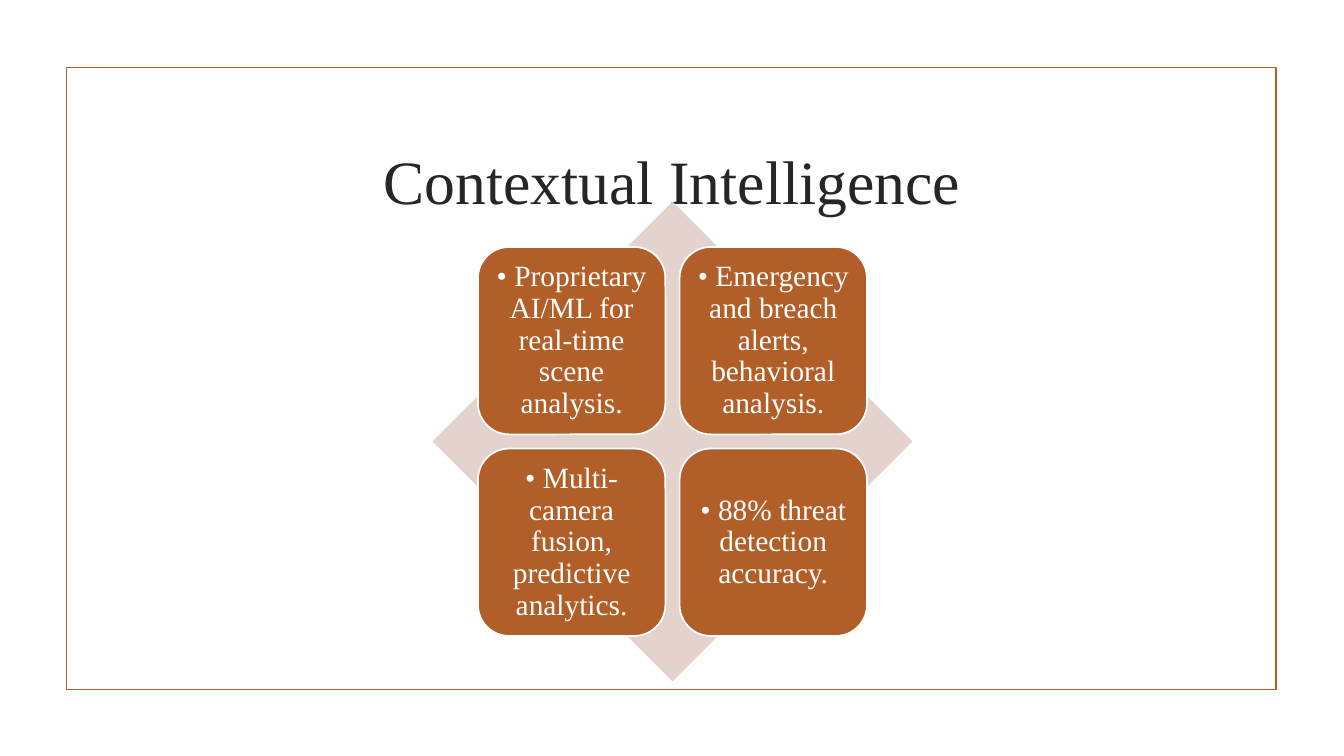
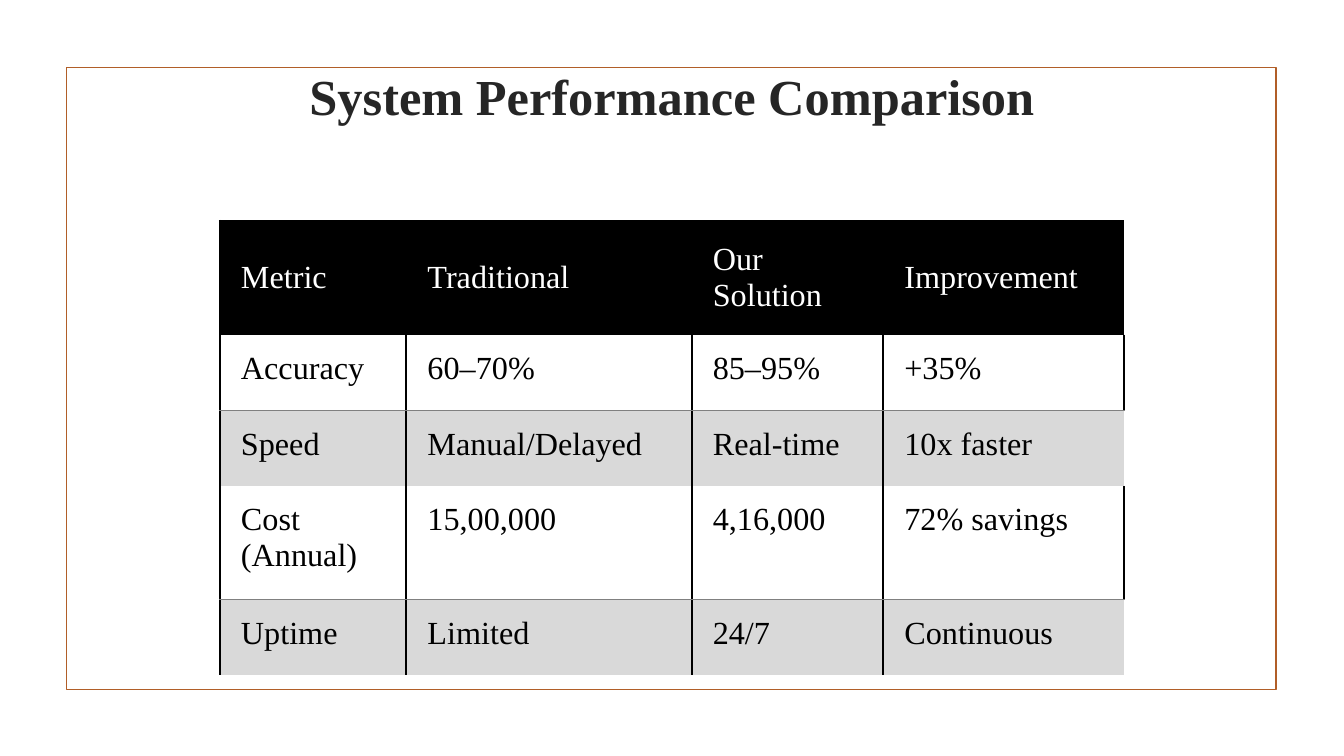
"""Builds two framed slides: a four-tile diamond and a comparison table."""
from lxml import etree
from pptx import Presentation
from pptx import util as u
from pptx.dml.color import RGBColor
from pptx.enum import shapes, text
from pptx.oxml import ns

PX = 9144
FONT = "Times New Roman"
HEX = {"rust": "B15E28", "blush": "E4D2CD", "ink": "262626", "white": "FFFFFF",
       "black": "000000", "band": "D9D9D9", "rule": "808080"}
TILES = ["• Proprietary AI/ML for real-time scene analysis.",
         "• Emergency and breach alerts, behavioral analysis.",
         "• Multi-camera fusion, predictive analytics.",
         "• 88% threat detection accuracy."]
ROWS = [["Metric", "Traditional", "Our Solution", "Improvement"],
        ["Accuracy", "60–70%", "85–95%", "+35%"],
        ["Speed", "Manual/Delayed", "Real-time", "10x faster"],
        ["Cost (Annual)", "15,00,000", "4,16,000", "72% savings"],
        ["Uptime", "Limited", "24/7", "Continuous"]]
WIDE = [185, 283, 190, 239]
HIGH = [113, 75, 75, 113, 75]


def px(*vals):
    return [u.Emu(v * PX) for v in vals]


def rgb(name):
    return RGBColor.from_string(HEX[name])


def write(frame, words, size, color, align, anchor, bold=False):
    frame.word_wrap = True
    frame.vertical_anchor = anchor
    frame.text = words
    para = frame.paragraphs[0]
    para.alignment = align
    font = para.runs[0].font
    font.name, font.size, font.bold = FONT, u.Pt(size), bold
    font.color.rgb = rgb(color)
    return para


def shape(slide, kind, box, fill=None, line=None):
    item = slide.shapes.add_shape(kind, *px(*box))
    item.shadow.inherit = False
    if fill:
        item.fill.solid()
        item.fill.fore_color.rgb = rgb(fill)
    else:
        item.fill.background()
    if line:
        item.line.color.rgb = rgb(line)
        item.line.width = u.Pt(1.25)
    else:
        item.line.fill.background()
    return item


def page(deck, words, box, size, anchor, bold=False):
    slide = deck.slides.add_slide(deck.slide_layouts[6])
    shape(slide, shapes.MSO_SHAPE.RECTANGLE, (66, 67, 1200, 617), line="rust")
    title = slide.shapes.add_textbox(*px(*box))
    write(title.text_frame, words, size, "ink", text.PP_ALIGN.CENTER, anchor, bold)
    return slide


def tile(slide, words, left, top, side):
    item = shape(slide, shapes.MSO_SHAPE.ROUNDED_RECTANGLE,
                 (left, top, side, side), "rust", "white")
    frame = item.text_frame
    frame.margin_left, frame.margin_right, frame.margin_top, frame.margin_bottom = px(9, 9, 9, 9)
    para = write(frame, words, 21, "white", text.PP_ALIGN.CENTER, text.MSO_ANCHOR.MIDDLE)
    para.line_spacing = 0.9


def border(cell, side, color=None, width=1.5):
    props = cell._tc.get_or_add_tcPr()
    line = etree.SubElement(props, ns.qn("a:ln" + side), w=str(u.Pt(width)))
    if color:
        fill = etree.SubElement(line, ns.qn("a:solidFill"))
        etree.SubElement(fill, ns.qn("a:srgbClr"), val=HEX[color])
    else:
        etree.SubElement(line, ns.qn("a:noFill"))


def edges(row, col):
    """Give the colour and width of each side of a cell."""
    head, band, last = row == 0, row > 0 and row % 2 == 0, col == len(WIDE) - 1
    black, rule, none = ("black", 1.5), ("rule", 0.5), (None, 1.5)
    return {"L": none if head and col else black,
            "R": none if head or (band and last) else black,
            "T": black if head else rule if band else none,
            "B": none if head or band else rule}


def grid(slide, left, top):
    box = px(left, top, sum(WIDE), sum(HIGH))
    table = slide.shapes.add_table(len(ROWS), len(WIDE), *box).table
    table.first_row = table.horz_banding = False
    for col, width in zip(table.columns, px(*WIDE)):
        col.width = width
    for r, (row, height) in enumerate(zip(table.rows, px(*HIGH))):
        row.height = height
        for c, cell in enumerate(row.cells):
            fill = "black" if r == 0 else None if r % 2 else "band"
            anchor = text.MSO_ANCHOR.TOP if r else text.MSO_ANCHOR.MIDDLE
            for side, style in edges(r, c).items():
                border(cell, side, *style)
            if fill:
                cell.fill.solid()
                cell.fill.fore_color.rgb = rgb(fill)
            else:
                cell.fill.background()
            cell.margin_left, cell.margin_right, cell.margin_top, cell.margin_bottom = px(21, 16, 16, 16)
            write(cell.text_frame, ROWS[r][c], 23, "black" if r else "white",
                  text.PP_ALIGN.LEFT, anchor)
            cell.vertical_anchor = anchor


def main():
    deck = Presentation()
    deck.slide_width, deck.slide_height = u.Inches(13.33), u.Inches(7.5)

    slide = page(deck, "Contextual Intelligence", (142, 107, 1050, 143), 44,
                 text.MSO_ANCHOR.MIDDLE)
    shape(slide, shapes.MSO_SHAPE.DIAMOND, (429, 200, 476, 476), "blush")
    side, step = 186, 200
    for i, words in enumerate(TILES):
        tile(slide, words, 474 + i % 2 * step, 245 + i // 2 * step, side)

    slide = page(deck, "System Performance Comparison", (189, 55, 955, 75), 36,
                 text.MSO_ANCHOR.BOTTOM, True)
    grid(slide, 218, 219)
    deck.save("out.pptx")


if __name__ == "__main__":
    main()
